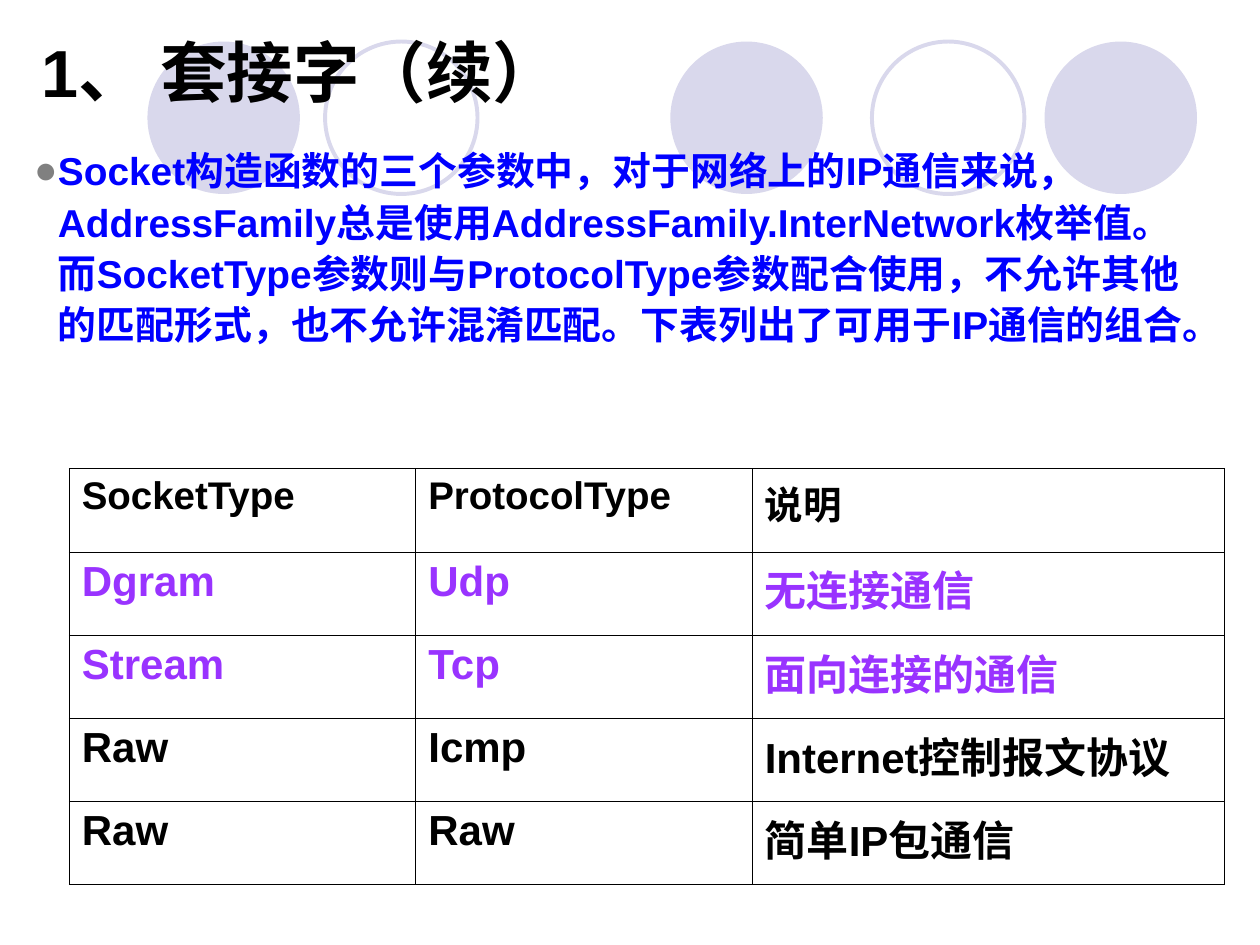
from dataclasses import dataclass
from lxml.etree import SubElement
from pptx import Presentation
from pptx.dml.color import RGBColor
from pptx.enum.shapes import MSO_SHAPE
from pptx.enum.text import MSO_ANCHOR, MSO_AUTO_SIZE, PP_ALIGN
from pptx.oxml.ns import qn
from pptx.util import Inches, Pt

BLACK = RGBColor(0, 0, 0)
BLUE = RGBColor(0, 0, 255)
GRAY = RGBColor(128, 128, 128)
LILAC = RGBColor(0xD9, 0xD8, 0xEC)
PURPLE = RGBColor(0x99, 0x33, 0xFF)


@dataclass
class Circle:
    left: float
    solid: bool


@dataclass
class Row:
    cells: tuple[str, str, str]
    size: float = 24
    color: RGBColor = BLACK


CIRCLES = [
    Circle(1.17, True),
    Circle(2.58, False),
    Circle(5.32, True),
    Circle(6.92, False),
    Circle(8.29, True),
]
WIDTHS = [2.75, 2.67, 3.75]
ROWS = [
    Row(("SocketType", "ProtocolType", "说明"), size=22),
    Row(("Dgram", "Udp", "无连接通信"), color=PURPLE),
    Row(("Stream", "Tcp", "面向连接的通信"), color=PURPLE),
    Row(("Raw", "Icmp", "Internet控制报文协议")),
    Row(("Raw", "Raw", "简单IP包通信")),
]
BODY = (
    "Socket构造函数的三个参数中，对于网络上的IP通信来说，"
    "AddressFamily总是使用AddressFamily.InterNetwork枚举值。"
    "而SocketType参数则与ProtocolType参数配合使用，不允许其他的匹配形式，"
    "也不允许混淆匹配。下表列出了可用于IP通信的组合。"
)


def write(frame, text: str, *, size: float, color: RGBColor,
          indent: float = 0, bullet: str = ""):
    para = frame.paragraphs[0]
    para.alignment = PP_ALIGN.LEFT
    props = para._p.get_or_add_pPr()
    props.set("marL", str(Inches(indent)))
    props.set("indent", str(-Inches(indent)))
    if bullet:
        tint = SubElement(props, qn("a:buClr"))
        SubElement(tint, qn("a:srgbClr"), val=str(GRAY))
        SubElement(props, qn("a:buFont"), typeface="Arial")
        SubElement(props, qn("a:buChar"), char=bullet)
    run = para.add_run()
    run.text = text
    font = run.font
    font.name = "Arial"
    font.size = Pt(size)
    font.bold = True
    font.color.rgb = color
    return para


def place(holder, left: float, top: float, width: float, height: float,
          anchor: MSO_ANCHOR):
    holder.left, holder.top = Inches(left), Inches(top)
    holder.width, holder.height = Inches(width), Inches(height)
    frame = holder.text_frame
    frame.word_wrap = True
    frame.auto_size = MSO_AUTO_SIZE.NONE
    frame.vertical_anchor = anchor
    return frame


def draw_circle(slide, circle: Circle) -> None:
    side = Inches(1.21)
    shape = slide.shapes.add_shape(
        MSO_SHAPE.OVAL, Inches(circle.left), Inches(0.33), side, side)
    shape.shadow.inherit = False
    if circle.solid:
        shape.fill.solid()
        shape.fill.fore_color.rgb = LILAC
        shape.line.fill.background()
    else:
        shape.fill.background()
        shape.line.color.rgb = LILAC
        shape.line.width = Pt(2.25)
    slide.shapes.element.insert(2, shape.element)


def draw_edges(cell) -> None:
    props = cell._tc.get_or_add_tcPr()
    for side in "LRTB":
        line = SubElement(props, qn(f"a:ln{side}"), w=str(Pt(0.45)))
        fill = SubElement(line, qn("a:solidFill"))
        SubElement(fill, qn("a:srgbClr"), val=str(BLACK))


def draw_table(slide, rows: list[Row], widths: list[float]) -> None:
    high = 0.66
    table = slide.shapes.add_table(
        len(rows), len(widths), Inches(0.55), Inches(3.72),
        Inches(sum(widths)), Inches(high * len(rows))).table
    table.first_row = False
    table.horz_banding = False
    for col, width in zip(table.columns, widths):
        col.width = Inches(width)
    for line, row in zip(table.rows, rows):
        line.height = Inches(high)
        for cell, text in zip(line.cells, row.cells):
            draw_edges(cell)
            cell.fill.background()
            write(cell.text_frame, text, size=row.size, color=row.color,
                  indent=0.38)


def main() -> None:
    deck = Presentation()
    deck.slide_width, deck.slide_height = Inches(10), Inches(7.5)
    slide = deck.slides.add_slide(deck.slide_layouts[1])
    for circle in CIRCLES:
        draw_circle(slide, circle)
    title = place(slide.shapes.title, 0.23, 0.19, 9.52, 0.74,
                  MSO_ANCHOR.MIDDLE)
    write(title, "1、 套接字（续）", size=38, color=BLACK)
    body = place(slide.placeholders[1], 0.17, 1.08, 9.51, 2.25,
                 MSO_ANCHOR.TOP)
    para = write(body, BODY, size=22.2, color=BLUE, indent=0.19, bullet="●")
    para.line_spacing = 1.1
    para.space_before = Pt(0)
    para.space_after = Pt(2.8)
    draw_table(slide, ROWS, WIDTHS)
    deck.save("out.pptx")


if __name__ == "__main__":
    main()
